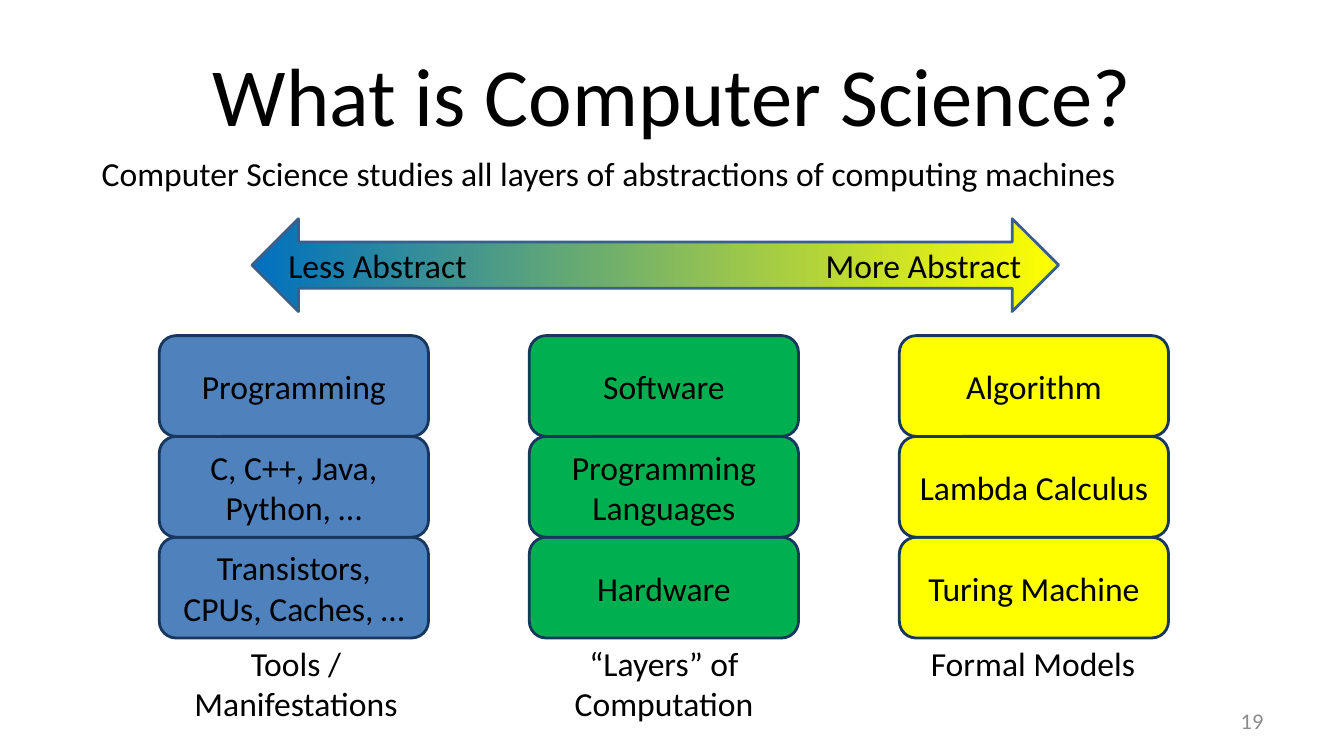
from dataclasses import dataclass

from lxml import etree
from pptx import Presentation
from pptx.dml.color import RGBColor
from pptx.enum.shapes import MSO_SHAPE
from pptx.enum.text import MSO_ANCHOR, PP_ALIGN
from pptx.oxml.ns import qn
from pptx.util import Inches, Pt

BLACK = RGBColor(0x00, 0x00, 0x00)
GRAY = RGBColor(0x8C, 0x8C, 0x8C)
BLUE = RGBColor(0x4F, 0x81, 0xBD)
GREEN = RGBColor(0x00, 0xB0, 0x50)
YELLOW = RGBColor(0xFF, 0xFF, 0x00)
DEEP_BLUE = RGBColor(0x00, 0x70, 0xC0)
NAVY = RGBColor(0x17, 0x37, 0x5E)
ARROW_EDGE = RGBColor(0x3A, 0x5F, 0x8C)

LEFT, CENTER, RIGHT = PP_ALIGN.LEFT, PP_ALIGN.CENTER, PP_ALIGN.RIGHT
TOP, MIDDLE = MSO_ANCHOR.TOP, MSO_ANCHOR.MIDDLE
ROUNDED, DOUBLE_ARROW = MSO_SHAPE.ROUNDED_RECTANGLE, MSO_SHAPE.LEFT_RIGHT_ARROW

STACK_LEFT, STACK_TOP, STACK_PITCH = 1.58, 3.33, 3.67
LAYER_WIDTH, LAYER_HEIGHT = 2.67, 1.0
CAPTION_TOP = 6.33


@dataclass(frozen=True)
class Box:
    left: float
    top: float
    width: float
    height: float

    def lengths(self):
        return [Inches(v) for v in (self.left, self.top, self.width, self.height)]


@dataclass(frozen=True)
class Stack:
    color: RGBColor
    layers: tuple[str, ...]
    caption: str
    caption_box: Box


STACKS = (
    Stack(BLUE, ("Programming", "C, C++, Java, Python, …", "Transistors, CPUs, Caches, …"),
          "Tools / Manifestations", Box(1.79, CAPTION_TOP, 2.29, 0.91)),
    Stack(GREEN, ("Software", "Programming Languages", "Hardware"),
          "“Layers” of Computation", Box(5.5, CAPTION_TOP, 2.17, 0.91)),
    Stack(YELLOW, ("Algorithm", "Lambda Calculus", "Turing Machine"),
          "Formal Models", Box(9.12, CAPTION_TOP, 2.25, 0.5)),
)


def write_text(shape, text: str, *, size: float = 24, color: RGBColor = BLACK,
               align=CENTER, anchor=MIDDLE, wrap: bool = True,
               side_inset: float = 0.1, edge_inset: float = 0.05):
    frame = shape.text_frame
    frame.word_wrap = wrap
    frame.vertical_anchor = anchor
    frame.margin_left = frame.margin_right = Inches(side_inset)
    frame.margin_top = frame.margin_bottom = Inches(edge_inset)
    para = frame.paragraphs[0]
    para.alignment = align
    span = para.add_run()
    span.text = text
    span.font.name = "Calibri"
    span.font.size = Pt(size)
    span.font.color.rgb = color
    return para


def add_label(page, box: Box, text: str, **text_format) -> None:
    write_text(page.shapes.add_textbox(*box.lengths()), text, **text_format)


def add_outlined(page, preset, box: Box, edge: RGBColor):
    shape = page.shapes.add_shape(preset, *box.lengths())
    shape.shadow.inherit = False
    shape.line.color.rgb = edge
    shape.line.width = Pt(2)
    return shape


def add_stack(page, stack: Stack, left: float) -> None:
    for row, layer in reversed(list(enumerate(stack.layers))):
        box = Box(left, STACK_TOP + row * LAYER_HEIGHT, LAYER_WIDTH, LAYER_HEIGHT)
        shape = add_outlined(page, ROUNDED, box, NAVY)
        shape.fill.solid()
        shape.fill.fore_color.rgb = stack.color
        write_text(shape, layer)
    add_label(page, stack.caption_box, stack.caption, anchor=TOP)


def add_abstraction_arrow(page) -> None:
    arrow = add_outlined(page, DOUBLE_ARROW, Box(2.5, 2.17, 8, 0.92), ARROW_EDGE)
    arrow.fill.gradient()
    arrow.fill.gradient_angle = 0
    for stop, color in zip(arrow.fill.gradient_stops, (DEEP_BLUE, YELLOW)):
        stop.color.rgb = color
    para = write_text(arrow, "Less Abstract\tMore Abstract", align=LEFT,
                      side_inset=0.13, edge_inset=0)
    tabs = etree.SubElement(para._p.get_or_add_pPr(), qn("a:tabLst"))
    etree.SubElement(tabs, qn("a:tab"), pos=str(Inches(7.27)), algn="r")


def main() -> None:
    deck = Presentation()
    deck.slide_width, deck.slide_height = Inches(13.33), Inches(7.5)
    page = deck.slides.add_slide(deck.slide_layouts[6])
    add_label(page, Box(0.67, 0.3, 12, 1.25), "What is Computer Science?",
              size=59, side_inset=0.13, edge_inset=0.07)
    add_label(page, Box(9.55, 6.95, 3.11, 0.4), "19", size=16, color=GRAY,
              align=RIGHT, side_inset=0.13, edge_inset=0.07)
    add_label(page, Box(0.91, 1.47, 10.35, 0.5),
              "Computer Science studies all layers of abstractions of computing machines",
              align=LEFT, anchor=TOP, wrap=False)
    add_abstraction_arrow(page)
    for column, stack in enumerate(STACKS):
        add_stack(page, stack, STACK_LEFT + column * STACK_PITCH)
    deck.save("out.pptx")


if __name__ == "__main__":
    main()
